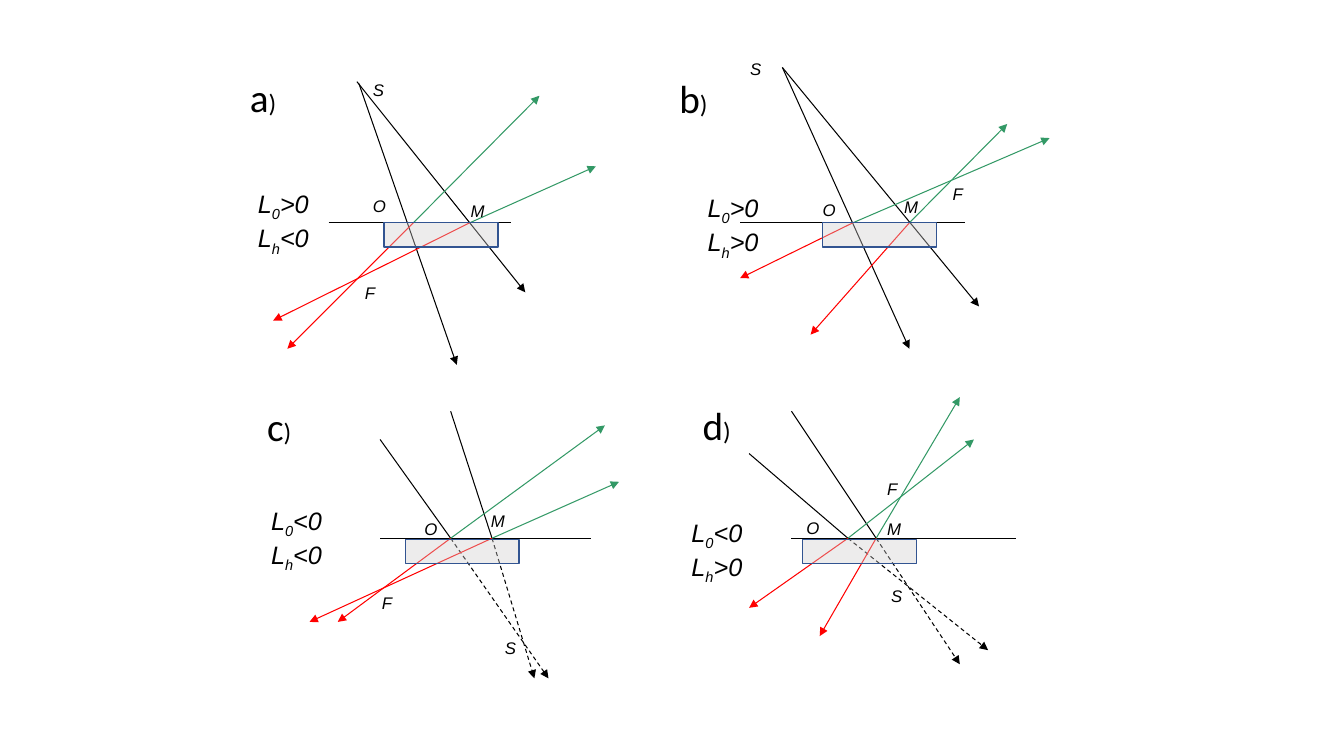
from lxml.etree import SubElement
from pptx import Presentation
from pptx.dml.color import RGBColor
from pptx.enum.dml import MSO_LINE
from pptx.enum.shapes import MSO_CONNECTOR, MSO_SHAPE
from pptx.enum.text import MSO_AUTO_SIZE
from pptx.oxml.ns import qn
from pptx.util import Pt

PX = 9144  # 100 px to the inch

THEME = {
    "black": RGBColor(0x00, 0x00, 0x00),
    "red": RGBColor(0xFF, 0x00, 0x00),
    "green": RGBColor(0x33, 0x99, 0x66),
    "slab_fill": RGBColor(0xD0, 0xCE, 0xCE),
    "slab_alpha": 38,
    "slab_line": RGBColor(0x32, 0x54, 0x91),
    "title_font": "Calibri",
    "label_font": "Arial",
    "letter_size": Pt(28),
    "sign_size": Pt(18),
    "point_size": Pt(12),
    "ray_width": Pt(0.75),
    "slab_width": Pt(1),
}

# Ray styles: colour, dashed, arrowhead
RAY_STYLES = {
    "plain": ("black", False, False),
    "incident": ("black", False, True),
    "virtual": ("black", True, True),
    "reflected": ("green", False, True),
    "extended": ("red", False, True),
}

SLAB_SIZE = (113, 24)

# Rays are (style, x1, y1, x2, y2); points are (letter, left, top, width)
PANELS = [
    {
        "letter": ("a", 238, 68, 47),
        "signs": (246, 182, ">0", "<0"),
        "slab": (381, 221),
        "rays": [
            ("plain", 326, 221, 507, 221),
            ("incident", 356, 83, 453, 362),
            ("incident", 354, 81, 521, 290),
            ("extended", 410, 221, 285, 346),
            ("extended", 466, 221, 271, 318),
            ("reflected", 410, 221, 535, 95),
            ("reflected", 466, 221, 591, 165),
        ],
        "points": [("S", 360, 74, 56), ("F", 352, 276, 42),
                   ("O", 360, 189, 56), ("M", 457, 194, 56)],
    },
    {
        "letter": ("b", 664, 69, 57),
        "signs": (692, 186, ">0", ">0"),
        "slab": (816, 221),
        "rays": [
            ("plain", 734, 221, 957, 221),
            ("incident", 776, 67, 902, 346),
            ("incident", 776, 67, 971, 304),
            ("extended", 902, 221, 804, 332),
            ("extended", 846, 221, 734, 276),
            ("reflected", 846, 221, 1041, 137),
            ("reflected", 902, 221, 999, 123),
        ],
        "points": [("S", 734, 53, 42), ("F", 935, 177, 42),
                   ("O", 806, 193, 56), ("M", 887, 190, 56)],
    },
    {
        "letter": ("c", 255, 394, 45),
        "signs": (259, 496, "<0", "<0"),
        "slab": (402, 535),
        "rays": [
            ("plain", 377, 534, 586, 534),
            ("plain", 377, 436, 447, 534),
            ("plain", 447, 408, 488, 534),
            ("virtual", 447, 534, 544, 673),
            ("virtual", 488, 534, 530, 673),
            ("extended", 447, 534, 335, 617),
            ("extended", 488, 534, 307, 617),
            ("reflected", 447, 534, 600, 422),
            ("reflected", 488, 534, 614, 478),
        ],
        "points": [("S", 491, 628, 42), ("F", 369, 583, 42),
                   ("O", 411, 510, 56), ("M", 477, 502, 56)],
    },
    {
        "letter": ("d", 687, 393, 49),
        "signs": (676, 508, "<0", ">0"),
        "slab": (796, 535),
        "rays": [
            ("plain", 785, 534, 1008, 534),
            ("plain", 785, 408, 869, 534),
            ("plain", 743, 450, 841, 534),
            ("virtual", 869, 534, 952, 659),
            ("virtual", 841, 534, 980, 645),
            ("extended", 841, 534, 743, 603),
            ("extended", 869, 534, 813, 631),
            ("reflected", 841, 534, 966, 436),
            ("reflected", 869, 534, 952, 394),
        ],
        "points": [("S", 874, 576, 42), ("F", 870, 470, 42),
                   ("O", 790, 509, 56), ("M", 870, 510, 56)],
    },
]

deck = Presentation()
deck.slide_width, deck.slide_height = 1333 * PX, 750 * PX
page = deck.slides.add_slide(deck.slide_layouts[6])


def add_text_frame(left, top, width, height):
    box = page.shapes.add_textbox(left * PX, top * PX, width * PX, height * PX)
    box.text_frame.word_wrap = True
    return box.text_frame


def add_span(para, text, size, font, italic=False):
    span = para.add_run()
    span.text = text
    span.font.size = size
    span.font.name = font
    span.font.italic = italic
    span.font.color.rgb = THEME["black"]
    return span


for panel in PANELS:
    # Surface line and rays
    for style, *ends in panel["rays"]:
        colour, dashed, arrow = RAY_STYLES[style]
        ray = page.shapes.add_connector(
            MSO_CONNECTOR.STRAIGHT, *(end * PX for end in ends))
        ray.line.color.rgb = THEME[colour]
        ray.line.width = THEME["ray_width"]
        if dashed:
            ray.line.dash_style = MSO_LINE.DASH
        if arrow:
            SubElement(ray.line._get_or_add_ln(), qn("a:tailEnd"), type="triangle")
        SubElement(ray._element.spPr, qn("a:effectLst"))

    # Translucent slab under the surface
    slab = page.shapes.add_shape(
        MSO_SHAPE.RECTANGLE, *(n * PX for n in panel["slab"] + SLAB_SIZE))
    slab.shadow.inherit = False
    slab.fill.solid()
    slab.fill.fore_color.rgb = THEME["slab_fill"]
    slab_colour = slab._element.spPr.find(qn("a:solidFill"))[0]
    SubElement(slab_colour, qn("a:alpha"), val=str(THEME["slab_alpha"] * 1000))
    slab.line.color.rgb = THEME["slab_line"]
    slab.line.width = THEME["slab_width"]

    # Panel letter
    letter, left, top, width = panel["letter"]
    frame = add_text_frame(left, top, width, 57)
    frame.word_wrap = False
    frame.auto_size = MSO_AUTO_SIZE.SHAPE_TO_FIT_TEXT
    para = frame.paragraphs[0]
    add_span(para, letter, THEME["letter_size"], THEME["title_font"])
    add_span(para, ")", THEME["sign_size"], THEME["title_font"])

    # Signs of the two distances
    left, top, *signs = panel["signs"]
    frame = add_text_frame(left, top, 83, 63)
    for para, index, sign in zip(
            (frame.paragraphs[0], frame.add_paragraph()), "0h", signs):
        for text in ("L", index, sign):
            span = add_span(para, text, THEME["sign_size"], THEME["label_font"], True)
            if text == index:
                span.font._element.set("baseline", "-25000")

    # Point names
    for name, left, top, width in panel["points"]:
        frame = add_text_frame(left, top, width, 42)
        add_span(frame.paragraphs[0], name, THEME["point_size"], THEME["label_font"], True)

deck.save("out.pptx")
